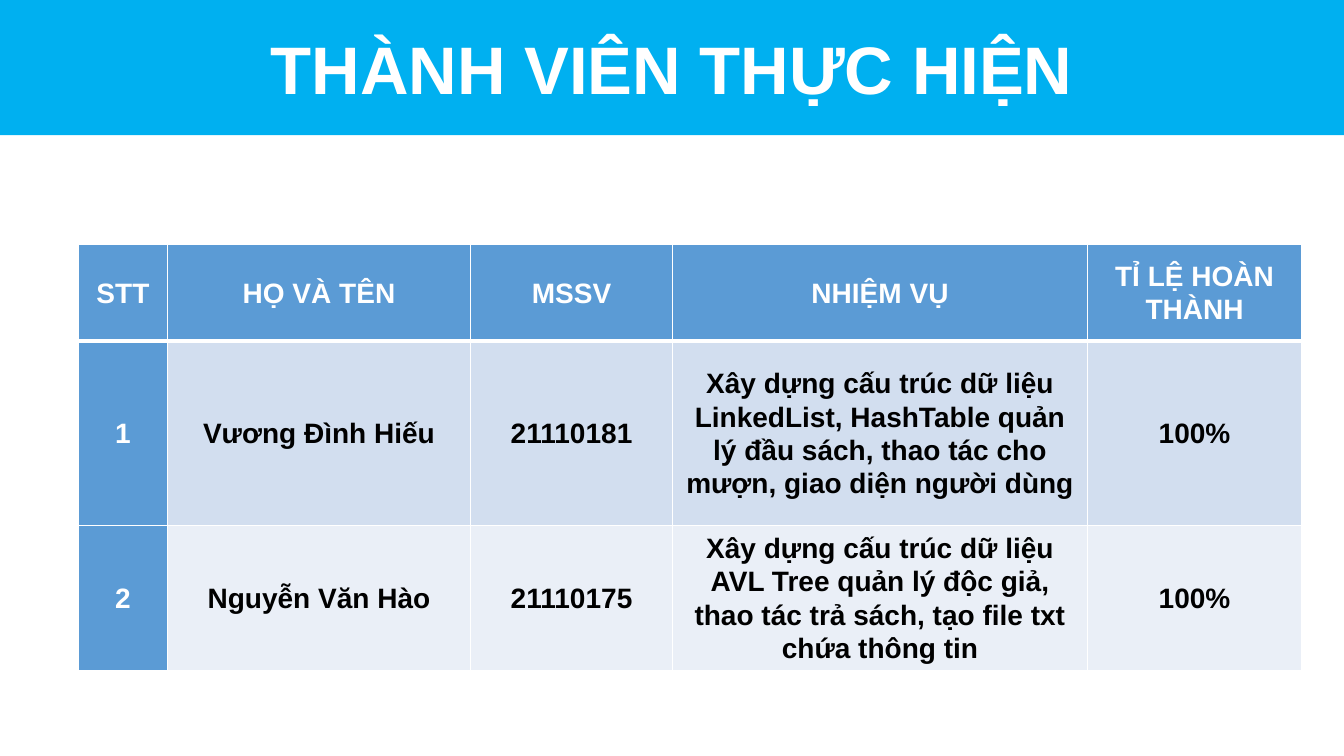
from dataclasses import dataclass

from lxml.etree import SubElement
from pptx import Presentation
from pptx.dml.color import RGBColor
from pptx.enum.shapes import MSO_SHAPE as Preset
from pptx.enum.text import MSO_ANCHOR as Anchor, MSO_AUTO_SIZE as AutoSize, PP_ALIGN as Align
from pptx.oxml.ns import qn
from pptx.util import Inches, Pt

SLIDE_WIDTH, SLIDE_HEIGHT = Inches(13.33), Inches(7.5)
FONT = "Arial"
COLORS = {
    "banner": "00B0F0",
    "heading": "5B9BD5",
    "odd_row": "D2DEEF",
    "even_row": "EAEFF7",
    "light": "FFFFFF",
    "dark": "000000",
}


@dataclass(frozen=True)
class Column:
    heading: str
    share: float


@dataclass(frozen=True)
class Member:
    name: str
    student_id: str
    task: str
    completion: str
    row_share: float


COLUMNS = [
    Column("STT", 6.6),
    Column("HỌ VÀ TÊN", 22.58),
    Column("MSSV", 15),
    Column("NHIỆM VỤ", 30.91),
    Column("TỈ LỆ HOÀN THÀNH", 15.9),
]
HEADING_ROW_SHARE = 12.8
MEMBERS = [
    Member("Vương Đình Hiếu", "21110181",
           "Xây dựng cấu trúc dữ liệu LinkedList, HashTable quản lý đầu sách, "
           "thao tác cho mượn, giao diện người dùng", "100%", 24.4),
    Member("Nguyễn Văn Hào", "21110175",
           "Xây dựng cấu trúc dữ liệu AVL Tree quản lý độc giả, "
           "thao tác trả sách, tạo file txt chứa thông tin", "100%", 19.2),
]


def across(percent: float) -> int:
    """Length as a percentage of the slide's width."""
    return round(SLIDE_WIDTH * percent / 100)


def down(percent: float) -> int:
    """Length as a percentage of the slide's height."""
    return round(SLIDE_HEIGHT * percent / 100)


def rgb(color: str) -> RGBColor:
    return RGBColor.from_string(COLORS[color])


def style_paragraph(paragraph, size: int, color: str) -> None:
    paragraph.alignment = Align.CENTER
    font = paragraph.font
    font.name, font.size, font.bold = FONT, Pt(size), True
    font.color.rgb = rgb(color)


def add_banner(slide) -> None:
    banner = slide.shapes.add_shape(Preset.RECTANGLE, 0, 0, SLIDE_WIDTH, down(17.87))
    banner.shadow.inherit = False
    banner.fill.solid()
    banner.fill.fore_color.rgb = rgb("banner")
    banner.line.fill.background()

    title = slide.shapes.add_textbox(across(5.85), down(2.93), across(88.3), down(12.13))
    title.text_frame.word_wrap = True
    title.text_frame.auto_size = AutoSize.SHAPE_TO_FIT_TEXT
    title.text_frame.text = "THÀNH VIÊN THỰC HIỆN"
    style_paragraph(title.text_frame.paragraphs[0], 48, "light")


def add_borders(cell, top: float, bottom: float) -> None:
    properties = cell._tc.get_or_add_tcPr()
    for side, width in (("L", 1), ("R", 1), ("T", top), ("B", bottom)):
        border = SubElement(properties, qn(f"a:ln{side}"), w=str(Pt(width)))
        border_fill = SubElement(border, qn("a:solidFill"))
        SubElement(border_fill, qn("a:srgbClr"), val=COLORS["light"])


def fill_cell(cell, text: str, row: int, column: int) -> None:
    is_heading = row == 0 or column == 0
    add_borders(cell, top=3 if row == 1 else 1, bottom=3 if row == 0 else 1)
    cell.fill.solid()
    cell.fill.fore_color.rgb = rgb(
        "heading" if is_heading else "odd_row" if row % 2 else "even_row")
    cell.vertical_anchor = Anchor.MIDDLE
    cell.margin_left = cell.margin_right = Inches(0.07)
    cell.margin_top = cell.margin_bottom = 0
    cell.text = text
    paragraph = cell.text_frame.paragraphs[0]
    paragraph.line_spacing = 1.07
    paragraph.space_after = Pt(8)
    style_paragraph(paragraph, 20, "light" if is_heading else "dark")


def add_member_table(slide) -> None:
    row_shares = [HEADING_ROW_SHARE, *(member.row_share for member in MEMBERS)]
    contents = [[column.heading for column in COLUMNS]]
    contents += [[str(number), member.name, member.student_id, member.task, member.completion]
                 for number, member in enumerate(MEMBERS, 1)]

    table = slide.shapes.add_table(
        len(contents), len(COLUMNS), across(5.85), down(32.27),
        across(sum(column.share for column in COLUMNS)), down(sum(row_shares))).table
    table.first_col = True
    for table_column, column in zip(table.columns, COLUMNS):
        table_column.width = across(column.share)
    for table_row, share in zip(table.rows, row_shares):
        table_row.height = down(share)
    for row, texts in enumerate(contents):
        for column, text in enumerate(texts):
            fill_cell(table.cell(row, column), text, row, column)


def main() -> None:
    presentation = Presentation()
    presentation.slide_width, presentation.slide_height = SLIDE_WIDTH, SLIDE_HEIGHT
    slide = presentation.slides.add_slide(presentation.slide_layouts[6])
    add_banner(slide)
    add_member_table(slide)
    presentation.save("out.pptx")


if __name__ == "__main__":
    main()
